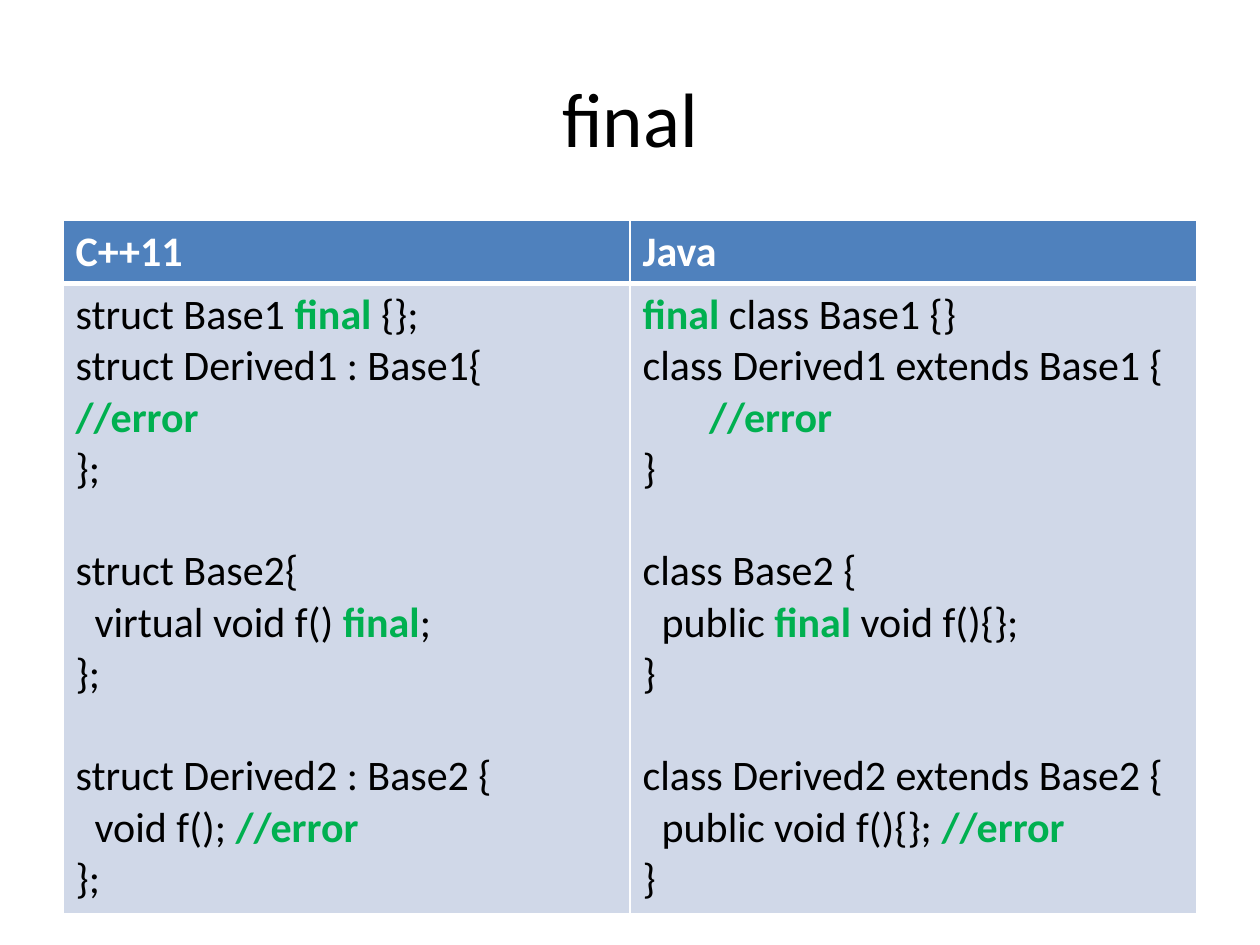
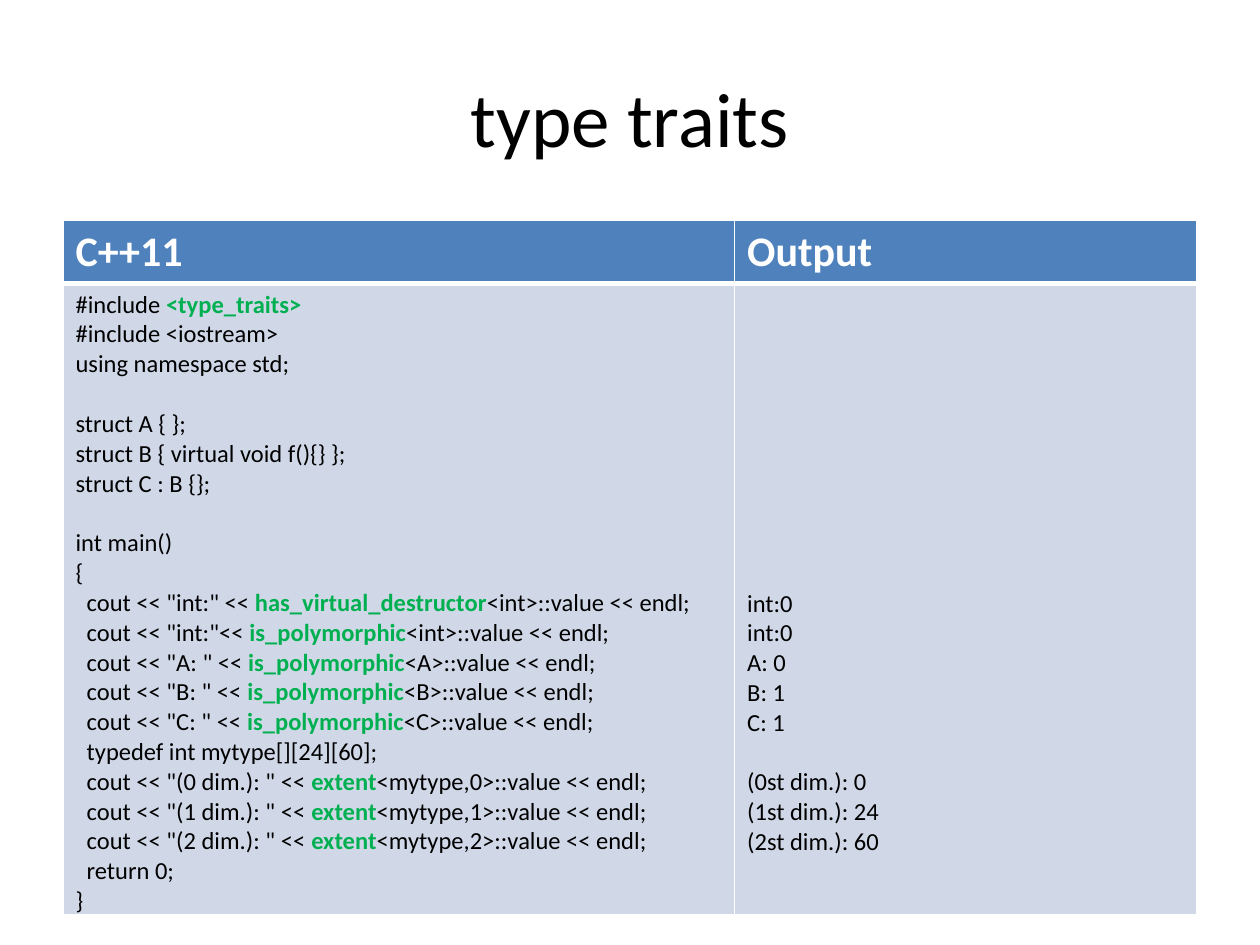
from lxml import etree
from pptx import Presentation
from pptx.dml.color import RGBColor
from pptx.enum import text
from pptx.oxml.ns import qn
from pptx.util import Inches, Pt

FONT = "Calibri"
BLACK = RGBColor(0x00, 0x00, 0x00)
WHITE = RGBColor(0xFF, 0xFF, 0xFF)
HEADER_BLUE = RGBColor(0x4F, 0x81, 0xBD)
BODY_BLUE = RGBColor(0xD0, 0xD8, 0xE8)
GREEN = RGBColor(0x00, 0xB0, 0x50)

TITLE_SIZE, HEADER_SIZE = 44, 24
LINE_HEIGHT = 1.22  # Calibri line height per point of size
LEFT, WIDTH = 0.5, 9
TITLE_TOP, TITLE_HEIGHT = 0.3, 1.25
TABLE_TOP, HEADER_HEIGHT, BODY_HEIGHT = 1.75, 0.5, 5
CELL_MARGIN = 0.05
BORDERS = {"header": {"L": 1, "R": 1, "T": 1, "B": 3},
           "body": {"L": 1, "R": 1, "B": 1}}

# Backticks enclose highlighted code; an empty line becomes a gap.
FINAL_CPP = """struct Base1 `final` {};
struct Derived1 : Base1{
`//error`
};

struct Base2{
  virtual void f() `final`;
};

struct Derived2 : Base2 {
  void f(); `//error`
};"""

FINAL_JAVA = """`final `class Base1 {}
class Derived1 extends Base1 {
       `//error`
}

class Base2 {
  public `final `void f(){};
}

class Derived2 extends Base2 {
  public void f(){}; `//error`
}"""

TRAITS_CPP = """#include `<type_traits>`
#include <iostream>
using namespace std;

struct A { };
struct B { virtual void f(){} };
struct C : B {};

int main()
{
  cout << "int:" << `has_virtual_destructor`<int>::value << endl;
  cout << "int:"<< `is_polymorphic`<int>::value << endl;
  cout << "A: " << `is_polymorphic`<A>::value << endl;
  cout << "B: " << `is_polymorphic`<B>::value << endl;
  cout << "C: " << `is_polymorphic`<C>::value << endl;
  typedef int mytype[][24][60];
  cout << "(0 dim.): " << `extent`<mytype,0>::value << endl;
  cout << "(1 dim.): " << `extent`<mytype,1>::value << endl;
  cout << "(2 dim.): " << `extent`<mytype,2>::value << endl;
  return 0;
}"""

TRAITS_OUTPUT = """int:0
int:0
A: 0
B: 1
C: 1

(0st dim.): 0
(1st dim.): 24
(2st dim.): 60"""

# Each column: heading, width, code, lines skipped at the top, anchor
TOP, MIDDLE = text.MSO_ANCHOR.TOP, text.MSO_ANCHOR.MIDDLE
PAGES = [
    {"title": "final", "size": 24, "columns": [
        ("C++11", 4.5, FINAL_CPP, 0, TOP),
        ("Java", 4.5, FINAL_JAVA, 0, TOP)]},
    {"title": "type traits", "size": 14, "columns": [
        ("C++11", 5.33, TRAITS_CPP, 0, MIDDLE),
        ("Output", 3.67, TRAITS_OUTPUT, 10, TOP)]},
]


def style(font, size, color, bold=False):
    font.name = FONT
    font.size = Pt(size)
    font.bold = bold
    font.color.rgb = color


def paint_cell(cell, fill, borders):
    """Draw white borders, then the fill, in the order the schema wants."""
    properties = cell._tc.get_or_add_tcPr()
    for side, points in borders.items():
        line = etree.SubElement(properties, qn(f"a:ln{side}"), w=str(Pt(points)))
        solid = etree.SubElement(line, qn("a:solidFill"))
        etree.SubElement(solid, qn("a:srgbClr"), val=str(WHITE))
    cell.fill.solid()
    cell.fill.fore_color.rgb = fill


def write_code(frame, code, size):
    paragraph = frame.paragraphs[0]
    for number, block in enumerate(code.split("\n\n")):
        for row, line in enumerate(block.split("\n")):
            if number or row:
                paragraph = frame.add_paragraph()
            if number and row == 0:
                paragraph.space_before = Pt(size * LINE_HEIGHT)
            for index, part in enumerate(line.split("`")):
                if part:
                    span = paragraph.add_run()
                    span.text = part
                    marked = index % 2 == 1
                    style(span.font, size, GREEN if marked else BLACK, marked)


def add_title(page, title):
    box = page.shapes.add_textbox(Inches(LEFT), Inches(TITLE_TOP),
                                  Inches(WIDTH), Inches(TITLE_HEIGHT))
    frame = box.text_frame
    frame.word_wrap = True
    frame.vertical_anchor = MIDDLE
    frame.text = title
    paragraph = frame.paragraphs[0]
    paragraph.alignment = text.PP_ALIGN.CENTER
    style(paragraph.runs[0].font, TITLE_SIZE, BLACK)


def add_code_table(page, columns, size):
    table = page.shapes.add_table(
        2, len(columns), Inches(LEFT), Inches(TABLE_TOP),
        Inches(WIDTH), Inches(HEADER_HEIGHT + BODY_HEIGHT)).table
    table.rows[0].height = Inches(HEADER_HEIGHT)
    table.rows[1].height = Inches(BODY_HEIGHT)
    for index, (heading, width, code, skipped, anchor) in enumerate(columns):
        table.columns[index].width = Inches(width)
        header, body = table.cell(0, index), table.cell(1, index)
        paint_cell(header, HEADER_BLUE, BORDERS["header"])
        paint_cell(body, BODY_BLUE, BORDERS["body"])
        header.text_frame.text = heading
        style(header.text_frame.paragraphs[0].runs[0].font, HEADER_SIZE, WHITE, True)
        body.vertical_anchor = anchor
        body.margin_top = Inches(CELL_MARGIN) + Pt(skipped * size * LINE_HEIGHT)
        write_code(body.text_frame, code, size)


def main():
    deck = Presentation()
    deck.slide_width, deck.slide_height = Inches(10), Inches(7.5)
    for content in PAGES:
        page = deck.slides.add_slide(deck.slide_layouts[6])
        add_title(page, content["title"])
        add_code_table(page, content["columns"], content["size"])
    deck.save("out.pptx")


if __name__ == "__main__":
    main()
